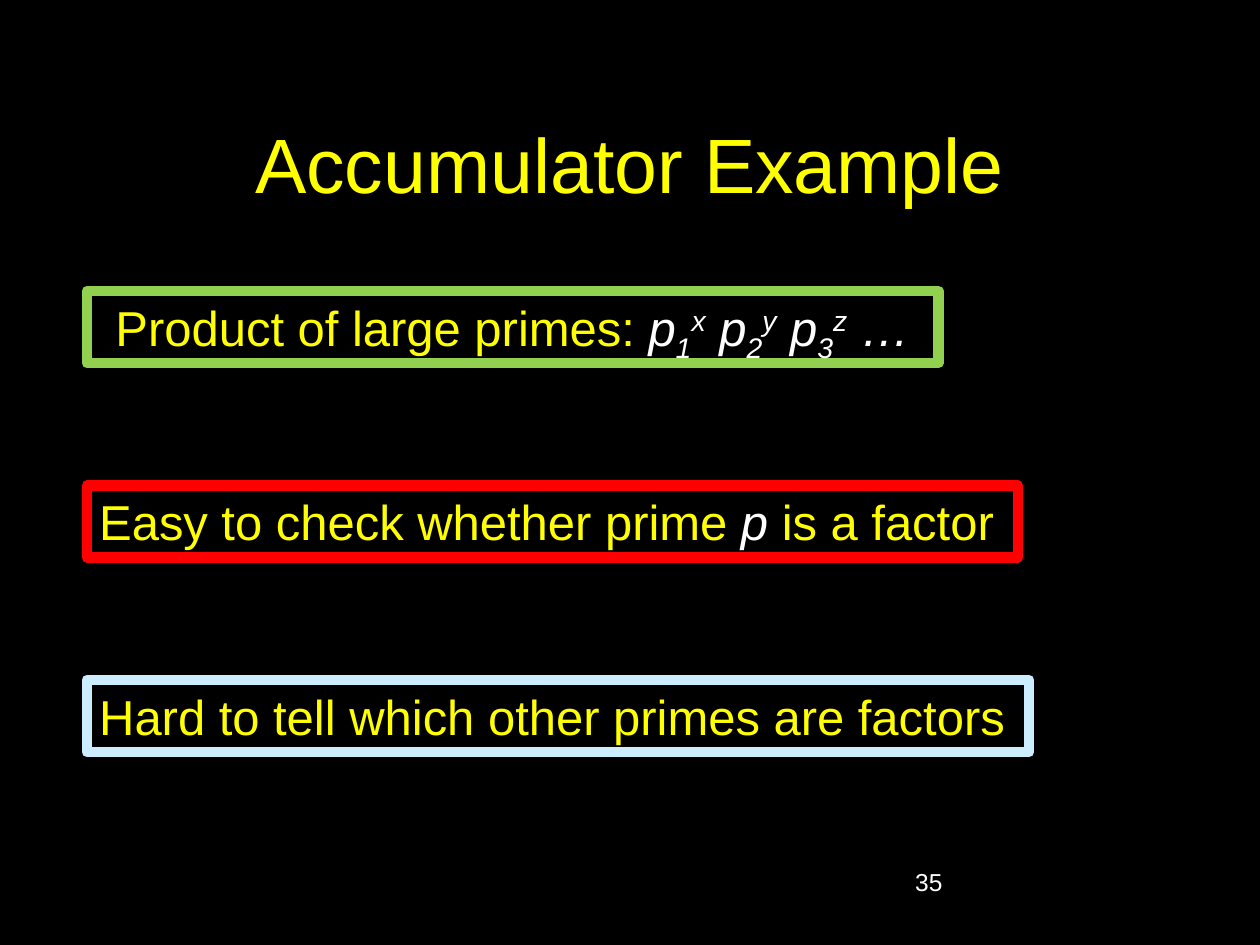
from pptx import Presentation
from pptx.dml.color import RGBColor
from pptx.enum.shapes import MSO_SHAPE
from pptx.enum.text import MSO_ANCHOR, MSO_AUTO_SIZE, PP_ALIGN
from pptx.util import Cm, Pt

# Content
BLACK, WHITE, YELLOW = "000000", "FFFFFF", "FFFF00"
TITLE = "Accumulator Example"
PAGE_NUMBER = "35"

# A run is (text, style): plain text, or white italic math with its baseline shift
PLAIN, MATH, SUB, SUP = None, 0, -25000, 30000
STATEMENTS = [
    # border colour, width in cm, alignment, runs
    ("92D050", 17.17, PP_ALIGN.CENTER, [
        ("Product of large primes: ", PLAIN),
        ("p", MATH), ("1", SUB), ("x", SUP),
        (" p", MATH), ("2", SUB), ("y", SUP),
        (" p", MATH), ("3", SUB), ("z", SUP),
        (" …", MATH)]),
    ("FF0000", 18.77, PP_ALIGN.LEFT, [
        ("Easy to check whether prime ", PLAIN),
        ("p", MATH),
        (" is a factor", PLAIN)]),
    ("CCECFF", 19, PP_ALIGN.LEFT, [
        ("Hard to tell which other primes are factors", PLAIN)]),
]

# Layout in cm
BOX_LEFT, BOX_TOP, BOX_HEIGHT, BOX_STEP = 1.75, 5.87, 1.45, 3.92


def color(value):
    return RGBColor.from_string(value)


def set_font(font, size, value):
    font.name = "Arial"
    font.size = Pt(size)
    font.color.rgb = color(value)


def add_label(slide, text, place, size, value, alignment, anchor):
    box = slide.shapes.add_textbox(*map(Cm, place))
    frame = box.text_frame
    frame.word_wrap = True
    frame.vertical_anchor = anchor
    paragraph = frame.paragraphs[0]
    paragraph.text = text
    paragraph.alignment = alignment
    set_font(paragraph.font, size, value)


def add_statement(slide, top, border, width, alignment, runs):
    shape = slide.shapes.add_shape(
        MSO_SHAPE.RECTANGLE, Cm(BOX_LEFT), Cm(top), Cm(width), Cm(BOX_HEIGHT))
    shape.shadow.inherit = False
    shape.fill.solid()
    shape.fill.fore_color.rgb = color(BLACK)
    shape.line.color.rgb = color(border)
    shape.line.width = Pt(6)

    frame = shape.text_frame
    frame.word_wrap = False
    frame.auto_size = MSO_AUTO_SIZE.SHAPE_TO_FIT_TEXT
    frame.vertical_anchor = MSO_ANCHOR.TOP
    paragraph = frame.paragraphs[0]
    paragraph.alignment = alignment
    for text, style in runs:
        run = paragraph.add_run()
        run.text = text
        set_font(run.font, 28, YELLOW if style is PLAIN else WHITE)
        if style is not PLAIN:
            run.font.italic = True
            if style != MATH:
                run.font._element.set("baseline", str(style))


def main():
    presentation = Presentation()
    presentation.slide_width, presentation.slide_height = Cm(25.4), Cm(19.05)
    slide = presentation.slides.add_slide(presentation.slide_layouts[6])
    slide.background.fill.solid()
    slide.background.fill.fore_color.rgb = color(BLACK)

    # Title and page number
    add_label(slide, TITLE, (1.9, 1.7, 21.6, 3.18), 44, YELLOW,
              PP_ALIGN.CENTER, MSO_ANCHOR.MIDDLE)
    add_label(slide, PAGE_NUMBER, (18.2, 17.35, 5.3, 1.27), 14, WHITE,
              PP_ALIGN.LEFT, MSO_ANCHOR.TOP)

    # Framed statements, evenly spaced
    for index, statement in enumerate(STATEMENTS):
        add_statement(slide, BOX_TOP + index * BOX_STEP, *statement)

    presentation.save("out.pptx")


if __name__ == "__main__":
    main()
